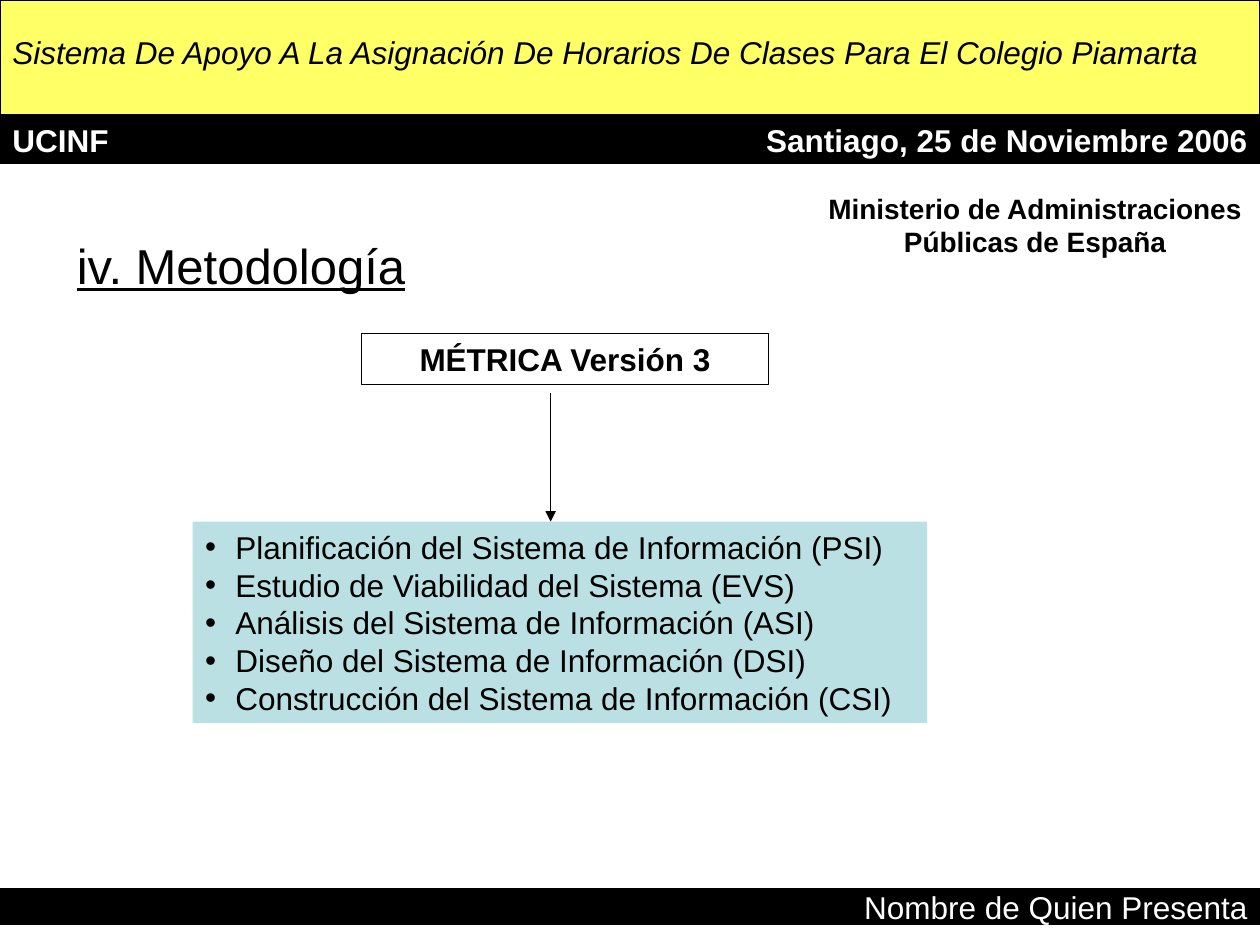
from lxml import etree
from pptx import Presentation
from pptx import util as u
from pptx.dml.color import RGBColor
from pptx.enum import shapes, text
from pptx.oxml.ns import qn

BLACK, WHITE, YELLOW, TEAL = "000000", "FFFFFF", "FFFF66", "BBE0E3"
LEFT, CENTER, RIGHT = text.PP_ALIGN.LEFT, text.PP_ALIGN.CENTER, text.PP_ALIGN.RIGHT

TITLE = "iv. Metodología"
BANDS = [
    ((0, 0, 10, 0.91), YELLOW),
    ((0, 0.91, 10, 0.39), BLACK),
    ((0, 7.05, 10, 0.29), BLACK),
]
LABELS = [
    ((0, 0.21, 10, 0.4),
     ["Sistema De Apoyo A La Asignación De Horarios De Clases Para El Colegio Piamarta"],
     dict(italic=True)),
    ((0, 0.91, 4.45, 0.4), ["UCINF"], dict(color=WHITE, bold=True)),
    ((5.55, 0.91, 4.45, 0.4), ["Santiago, 25 de Noviembre 2006"],
     dict(color=WHITE, bold=True, align=RIGHT)),
    ((4.69, 7, 5.31, 0.4), ["Nombre de Quien Presenta"], dict(color=WHITE, align=RIGHT)),
    ((6.44, 1.47, 3.55, 0.64), ["Ministerio de Administraciones", "Públicas de España"],
     dict(size=16, bold=True, align=CENTER)),
]
METHOD = "MÉTRICA Versión 3"
PROCESSES = [
    "Planificación del Sistema de Información (PSI)",
    "Estudio de Viabilidad del Sistema (EVS)",
    "Análisis del Sistema de Información (ASI)",
    "Diseño del Sistema de Información (DSI)",
    "Construcción del Sistema de Información (CSI)",
]
ARROW_X, ARROW_TOP, LIST_TOP = 4.37, 3.12, 4.14
BULLET_INDENT = 0.24


def rgb(value):
    return RGBColor.from_string(value)


def inches(values):
    return [u.Inches(value) for value in values]


def add_bullet(para):
    props = para._p.get_or_add_pPr()
    indent = u.Inches(BULLET_INDENT)
    props.set("marL", str(indent))
    props.set("indent", str(-indent))
    etree.SubElement(props, qn("a:buFont"), typeface="Arial")
    etree.SubElement(props, qn("a:buChar"), char="•")


def write(shape, lines, size=18, color=BLACK, bold=False, italic=False,
          underline=False, align=LEFT, anchor=text.MSO_ANCHOR.TOP, bullets=False):
    frame = shape.text_frame
    frame.word_wrap = True
    frame.vertical_anchor = anchor
    frame.text = "\n".join(lines)
    for para in frame.paragraphs:
        para.alignment = align
        if bullets:
            add_bullet(para)
        font = para.font
        font.name, font.size = "Arial", u.Pt(size)
        font.bold, font.italic, font.underline = bold, italic, underline
        font.color.rgb = rgb(color)


def add_box(slide, place, fill=None, line=BLACK):
    box = slide.shapes.add_shape(shapes.MSO_SHAPE.RECTANGLE, *inches(place))
    box.shadow.inherit = False
    if fill:
        box.fill.solid()
        box.fill.fore_color.rgb = rgb(fill)
    else:
        box.fill.background()
    if line:
        box.line.color.rgb = rgb(line)
        box.line.width = u.Pt(0.75)
    else:
        box.line.fill.background()
    return box


def add_arrow(slide, start, end):
    arrow = slide.shapes.add_connector(
        shapes.MSO_CONNECTOR.STRAIGHT, *inches(start + end))
    arrow.line.color.rgb = rgb(BLACK)
    arrow.line.width = u.Pt(0.75)
    etree.SubElement(arrow.line._get_or_add_ln(), qn("a:tailEnd"), type="triangle")
    etree.SubElement(arrow._element.spPr, qn("a:effectLst"))


def main():
    deck = Presentation()
    deck.slide_width, deck.slide_height = inches((10, 7.5))
    slide = deck.slides.add_slide(deck.slide_layouts[5])

    title = slide.shapes.title
    title.left, title.top, title.width, title.height = inches((0.51, 1.86, 9.49, 0.48))
    write(title, [TITLE], size=28, underline=True, anchor=text.MSO_ANCHOR.MIDDLE)

    for place, fill in BANDS:
        add_box(slide, place, fill)
    for place, lines, style in LABELS:
        write(slide.shapes.add_textbox(*inches(place)), lines, **style)

    method = add_box(slide, (2.87, 2.65, 3.23, 0.4))
    write(method, [METHOD], bold=True, align=CENTER)
    add_arrow(slide, (ARROW_X, ARROW_TOP), (ARROW_X, LIST_TOP))
    processes = add_box(slide, (1.53, LIST_TOP, 5.83, 1.6), TEAL, line=None)
    write(processes, PROCESSES, bullets=True)

    deck.save("out.pptx")


if __name__ == "__main__":
    main()
